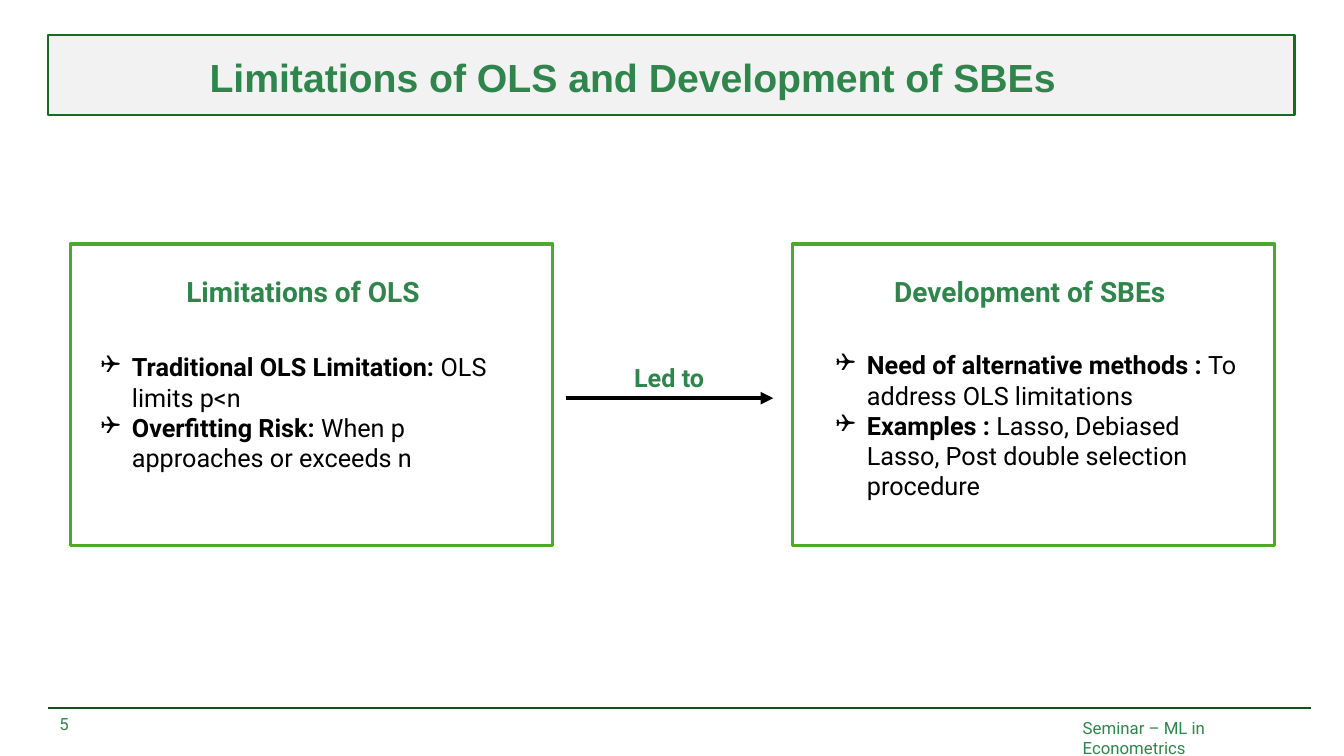
from lxml.etree import SubElement
from pptx import Presentation
from pptx.dml.color import RGBColor
from pptx.enum.shapes import MSO_CONNECTOR as CONNECTOR, MSO_SHAPE as SHAPE
from pptx.oxml.ns import qn
from pptx.util import Inches, Pt

COLORS = {
    "text": "000000", "heading": "2F854B", "white": "FFFFFF", "banner": "F2F2F2",
    "banner_line": "196B24", "footer_line": "13501B", "panel_line": "4EA72E",
}
BODY_FONT = "Roboto"
PANEL_TOP, PANEL_WIDTH, PANEL_HEIGHT = 2.42, 4.78, 2.99
BULLET_INDENT = Inches(0.31)


def color(name):
    return RGBColor.from_string(COLORS[name])


def add_box(slide, left, top, width, height, fill, line, line_width):
    sp = slide.shapes.add_shape(SHAPE.RECTANGLE, Inches(left), Inches(top),
                                Inches(width), Inches(height))
    sp.shadow.inherit = False
    sp.fill.solid()
    sp.fill.fore_color.rgb = color(fill)
    sp.line.color.rgb = color(line)
    sp.line.width = Pt(line_width)


def add_line(slide, left, right, y, line, width, arrow=False):
    cxn = slide.shapes.add_connector(CONNECTOR.STRAIGHT, Inches(left), Inches(y),
                                     Inches(right), Inches(y))
    cxn.line.color.rgb = color(line)
    cxn.line.width = Pt(width)
    if arrow:
        SubElement(cxn.line._get_or_add_ln(), qn("a:tailEnd"), type="triangle")
    SubElement(cxn._element.spPr, qn("a:effectLst"))


def format_run(r, size, name="heading", bold=False, font=BODY_FONT):
    r.font.size = Pt(size)
    r.font.name = font
    r.font.bold = bold
    r.font.color.rgb = color(name)


def add_text_frame(slide, left, top, width, height, wrap):
    box = slide.shapes.add_textbox(Inches(left), Inches(top), Inches(width), Inches(height))
    box.text_frame.word_wrap = wrap
    return box.text_frame


def add_label(slide, text, left, top, width, height, size, bold=True,
              font=BODY_FONT, wrap=False):
    tf = add_text_frame(slide, left, top, width, height, wrap)
    tf.text = text
    format_run(tf.paragraphs[0].runs[0], size, bold=bold, font=font)


def add_bullets(slide, items, left, top, height):
    """Write (bold lead, plain detail) pairs as a list with box bullets."""
    tf = add_text_frame(slide, left, top, 4.38, height, True)
    for i, parts in enumerate(items):
        p = tf.add_paragraph() if i else tf.paragraphs[0]
        pPr = p._p.get_or_add_pPr()
        pPr.set("marL", str(BULLET_INDENT))
        pPr.set("indent", str(-BULLET_INDENT))
        SubElement(pPr, qn("a:buFont"), typeface="Wingdings")
        SubElement(pPr, qn("a:buChar"), char="❑")
        for text, bold in zip(parts, (True, False)):
            r = p.add_run()
            r.text = text
            format_run(r, 18, "text", bold)


def add_banner(slide):
    add_box(slide, 0.48, 0.35, 12.36, 0.79, "banner", "banner_line", 1.5)
    add_label(slide, "Limitations of OLS and Development of SBEs",
              1.98, 0.48, 8.7, 0.57, 28, font="Arial")


def add_footer(slide):
    add_line(slide, 0.48, 13, 7.02, "footer_line", 1.5)
    add_label(slide, "5", 0.49, 7.03, 0.79, 0.3, 12, bold=False, wrap=True)
    add_label(slide, "Seminar – ML in Econometrics", 10.64, 7.07, 2.39, 0.3, 12,
              bold=False, wrap=True)


def add_panel(slide, left, heading, heading_left, heading_width):
    add_box(slide, left, PANEL_TOP, PANEL_WIDTH, PANEL_HEIGHT, "white", "panel_line", 2.5)
    add_label(slide, heading, heading_left, PANEL_TOP + 0.25, heading_width, 0.44, 20)


def main():
    prs = Presentation()
    prs.slide_width, prs.slide_height = Inches(13.33), Inches(7.5)
    slide = prs.slides.add_slide(prs.slide_layouts[6])

    add_banner(slide)
    add_footer(slide)

    add_panel(slide, 0.7, "Limitations of OLS", 1.75, 2.53)
    add_bullets(slide, [
        ("Traditional OLS Limitation: ", "OLS limits p<n"),
        ("Overfitting Risk: ", "When p approaches or exceeds n"),
    ], 0.9, 3.44, 1.31)

    add_panel(slide, 7.86, "Development of SBEs", 8.77, 2.94)
    add_bullets(slide, [
        ("Need of alternative methods : ", "To address OLS limitations"),
        ("Examples : ", "Lasso, Debiased Lasso, Post double selection procedure"),
    ], 8.19, 3.42, 1.62)

    add_line(slide, 5.61, 7.67, 3.95, "text", 3, arrow=True)
    add_label(slide, "Led to", 6.19, 3.55, 0.91, 0.4, 18)

    prs.save("out.pptx")


if __name__ == "__main__":
    main()
